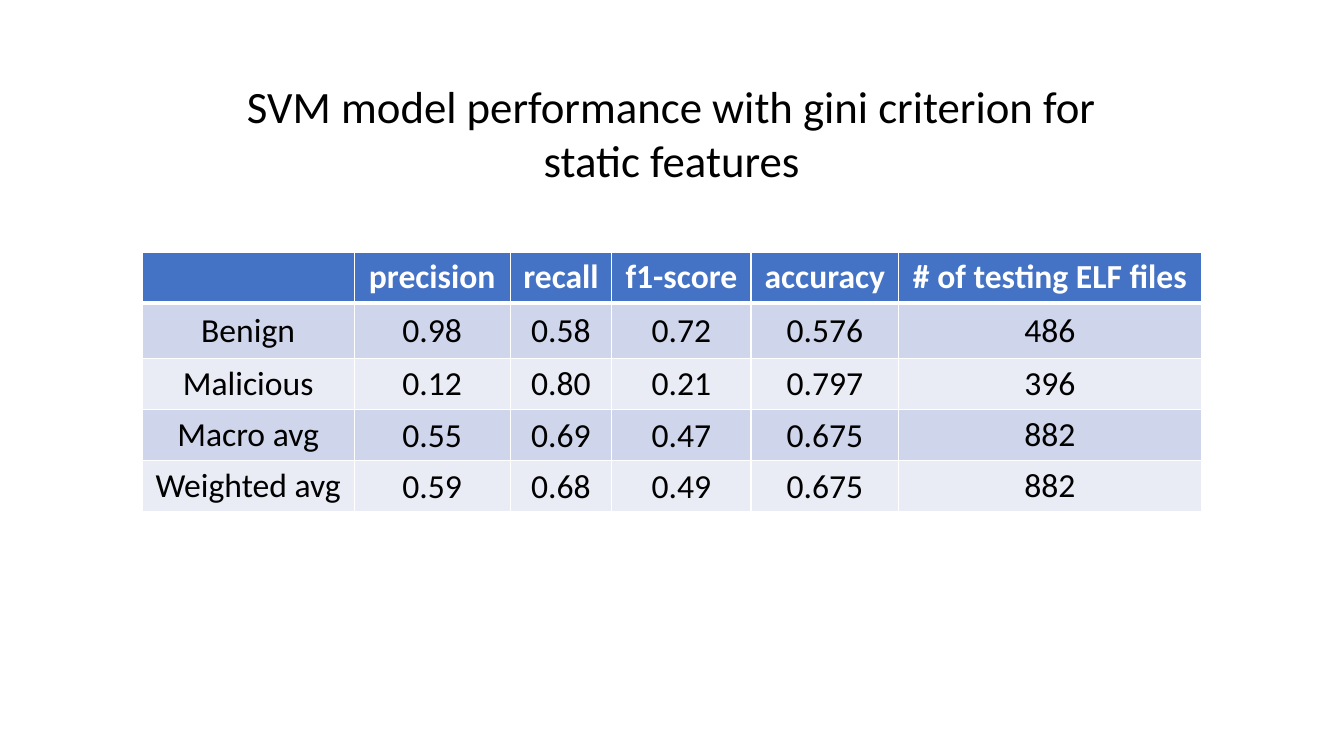
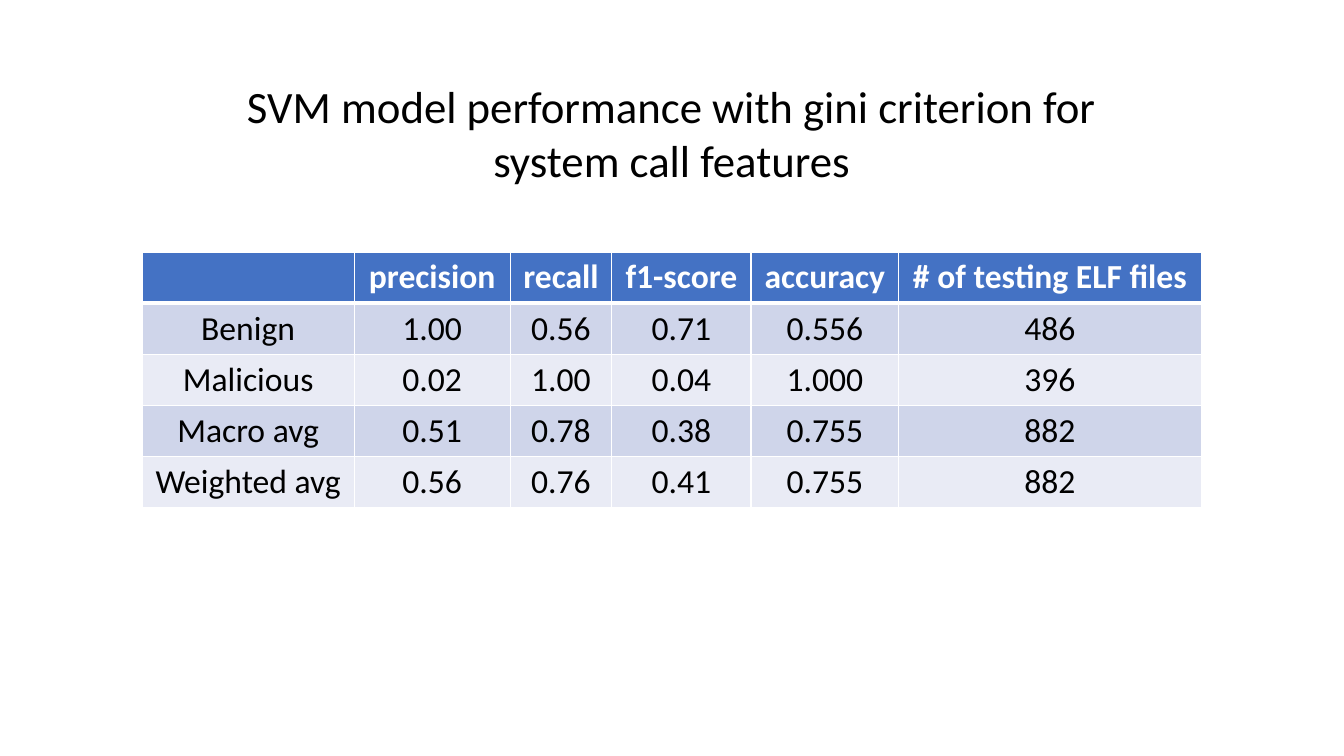
from lxml import etree
from pptx import Presentation
from pptx.dml.color import RGBColor
from pptx.enum.text import MSO_ANCHOR, MSO_AUTO_SIZE, PP_ALIGN
from pptx.oxml.ns import qn
from pptx.util import Pt

CENTER = PP_ALIGN.CENTER
MIDDLE = MSO_ANCHOR.MIDDLE
NO_AUTOFIT = MSO_AUTO_SIZE.NONE

# Shared style
FONT = "Calibri"
WHITE = RGBColor(0xFF, 0xFF, 0xFF)
BLACK = RGBColor(0x00, 0x00, 0x00)
HEADER_BLUE = RGBColor(0x44, 0x72, 0xC4)
BANDS = (RGBColor(0xCF, 0xD5, 0xEA), RGBColor(0xE9, 0xEB, 0xF5))
TITLE_ONLY = 5

# Table layout, in points
TABLE_LEFT, TABLE_TOP = 101.5, 180
COL_WIDTHS = (151.5, 111.5, 72.5, 99.5, 105.5, 216)
ROW_HEIGHT = 36.5
SCORE_INSET = 0.75
THIN, THICK = 1, 3

# Content
HEADER = ("", "precision", "recall", "f1-score", "accuracy", "# of testing ELF files")
ROW_LABELS = ("Benign", "Malicious", "Macro avg", "Weighted avg")
FILE_COUNTS = ("486", "396", "882", "882")

STATIC_SCORES = (
    ("0.98", "0.58", "0.72", "0.576"),
    ("0.12", "0.80", "0.21", "0.797"),
    ("0.55", "0.69", "0.47", "0.675"),
    ("0.59", "0.68", "0.49", "0.675"),
)
SYSTEM_CALL_SCORES = (
    ("1.00", "0.56", "0.71", "0.556"),
    ("0.02", "1.00", "0.04", "1.000"),
    ("0.51", "0.78", "0.38", "0.755"),
    ("0.56", "0.76", "0.41", "0.755"),
)


def format_text(tf, size, color, bold=False):
    for p in tf.paragraphs:
        p.alignment = CENTER
        for r in p.runs:
            r.font.name = FONT
            r.font.size = Pt(size)
            r.font.bold = bold
            r.font.color.rgb = color


def set_borders(cell, top, bottom):
    """Draw white cell borders; they must precede the fill in the XML."""
    tc_pr = cell._tc.get_or_add_tcPr()
    widths = (("L", THIN), ("R", THIN), ("T", top), ("B", bottom))
    for i, (side, width) in enumerate(widths):
        ln = etree.Element(qn(f"a:ln{side}"), w=str(Pt(width)))
        fill = etree.SubElement(ln, qn("a:solidFill"))
        etree.SubElement(fill, qn("a:srgbClr"), val=str(WHITE))
        tc_pr.insert(i, ln)


def add_title(slide, text):
    sp = slide.shapes.title
    sp.left, sp.top, sp.width, sp.height = Pt(168), Pt(52), Pt(623.5), Pt(85)
    tf = sp.text_frame
    tf.text = text
    tf.word_wrap = True
    tf.auto_size = NO_AUTOFIT
    format_text(tf, 32, BLACK)


def fill_cell(cell, text, row, col):
    is_header = row == 0
    cell.text_frame.text = text
    cell.vertical_anchor = MIDDLE
    cell.fill.solid()
    cell.fill.fore_color.rgb = HEADER_BLUE if is_header else BANDS[(row - 1) % 2]
    format_text(cell.text_frame, 24, WHITE if is_header else BLACK, is_header)
    set_borders(cell, THICK if row == 1 else THIN, THICK if is_header else THIN)
    # Score cells have tight margins
    if not is_header and 0 < col < len(HEADER) - 1:
        cell.margin_left = cell.margin_right = cell.margin_top = Pt(SCORE_INSET)
        cell.margin_bottom = 0


def add_score_table(slide, scores, benign_height):
    rows = [HEADER]
    for label, values, count in zip(ROW_LABELS, scores, FILE_COUNTS):
        rows.append((label, *values, count))
    heights = [ROW_HEIGHT] * len(rows)
    heights[1] = benign_height

    table = slide.shapes.add_table(
        len(rows), len(HEADER), Pt(TABLE_LEFT), Pt(TABLE_TOP),
        Pt(sum(COL_WIDTHS)), Pt(sum(heights))).table
    for column, width in zip(table.columns, COL_WIDTHS):
        column.width = Pt(width)
    for i, (texts, height) in enumerate(zip(rows, heights)):
        table.rows[i].height = Pt(height)
        for j, text in enumerate(texts):
            fill_cell(table.cell(i, j), text, i, j)


def add_performance_slide(prs, features, scores, benign_height=ROW_HEIGHT):
    slide = prs.slides.add_slide(prs.slide_layouts[TITLE_ONLY])
    add_score_table(slide, scores, benign_height)
    add_title(slide, f"SVM model performance with gini criterion for {features} features")


def main():
    prs = Presentation()
    prs.slide_width, prs.slide_height = Pt(960), Pt(540)
    add_performance_slide(prs, "static", STATIC_SCORES, benign_height=39.5)
    add_performance_slide(prs, "system call", SYSTEM_CALL_SCORES)
    prs.save("out.pptx")


if __name__ == "__main__":
    main()
